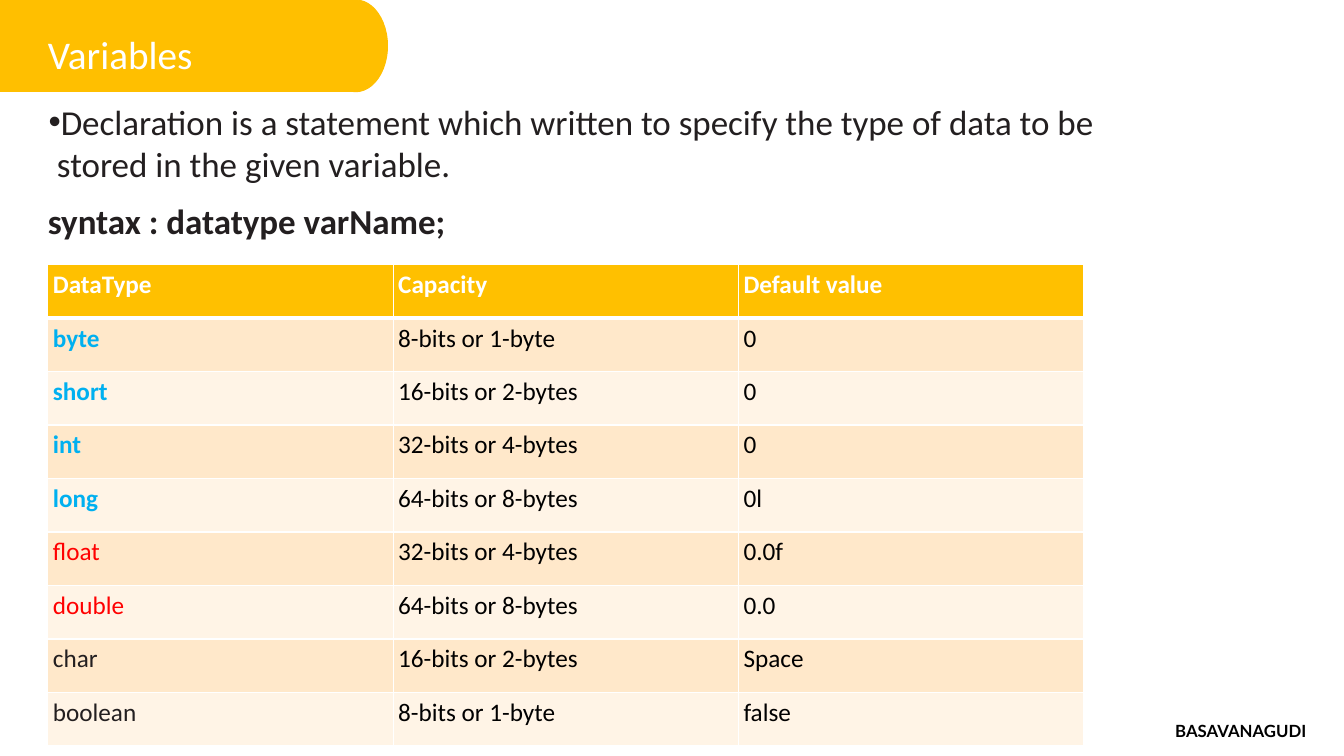
import dataclasses
import lxml.etree
import pptx
import pptx.dml.color
import pptx.enum.shapes
import pptx.enum.text
import pptx.oxml.ns
import pptx.util

Pt = pptx.util.Pt
Align = pptx.enum.text.PP_ALIGN
Shape = pptx.enum.shapes.MSO_SHAPE
qn = pptx.oxml.ns.qn


@dataclasses.dataclass(frozen=True)
class Theme:
    face: str = "Calibri"
    mark: str = "Lato"
    gold: str = "FFBF00"
    head: str = "FFC000"
    bands: tuple = ("FFE8CA", "FFF4E6")
    white: str = "FFFFFF"
    black: str = "000000"
    ink: str = "231F20"
    blue: str = "00B0F0"
    red: str = "FF0000"
    title: float = 28
    body: float = 25
    cell: float = 18
    note: float = 12


def color(code):
    return pptx.dml.color.RGBColor.from_string(code)


def edge(cell, side, width, code):
    """Add one border line to a cell."""
    line = lxml.etree.SubElement(cell._tc.get_or_add_tcPr(), qn("a:ln" + side), w=str(Pt(width)))
    fill = lxml.etree.SubElement(line, qn("a:solidFill"))
    lxml.etree.SubElement(fill, qn("a:srgbClr"), val=code)


class Page:
    def __init__(self, deck, theme):
        self.slide = deck.slides.add_slide(deck.slide_layouts[1])
        self.theme = theme

    def put(self, para, text, size, code, bold=False, face=None, align=Align.LEFT):
        """Add one styled run to a paragraph."""
        para.alignment = align
        para.space_before = Pt(0)
        run = para.add_run()
        run.text = text
        font = run.font
        font.name, font.size, font.bold = face or self.theme.face, Pt(size), bold
        font.color.rgb = color(code)

    def fit(self, shape, box, inset=0):
        """Place a text shape, set its insets and return its first paragraph."""
        shape.left, shape.top, shape.width, shape.height = map(Pt, box)
        frame = shape.text_frame
        frame.word_wrap = True
        frame.auto_size = pptx.enum.text.MSO_AUTO_SIZE.SHAPE_TO_FIT_TEXT
        frame.vertical_anchor = pptx.enum.text.MSO_ANCHOR.TOP
        frame.margin_left = frame.margin_right = Pt(inset)
        frame.margin_top = frame.margin_bottom = Pt(inset)
        return frame.paragraphs[0]

    def title(self, text, box):
        para = self.fit(self.slide.shapes.title, box)
        self.put(para, text, self.theme.title, self.theme.white)

    def bullet(self, text, box):
        para = self.fit(self.slide.placeholders[1], box)
        props = para._p.get_or_add_pPr()
        props.set("marL", str(Pt(6.5)))
        props.set("indent", str(Pt(-6)))
        lxml.etree.SubElement(props, qn("a:buChar"), char="•")
        self.put(para, text, self.theme.body, self.theme.ink)

    def text(self, text, box, size, code, inset=0, **style):
        para = self.fit(self.slide.shapes.add_textbox(*map(Pt, box)), box, inset)
        self.put(para, text, size, code, **style)

    def back(self, kind, box):
        """Add a gold shape behind everything else."""
        shape = self.slide.shapes.add_shape(kind, *map(Pt, box))
        shape.shadow.inherit = False
        shape.fill.solid()
        shape.fill.fore_color.rgb = color(self.theme.gold)
        shape.line.color.rgb = color(self.theme.gold)
        shape.line.width = Pt(0.75)
        self.slide.shapes._spTree.insert(2, shape._element)

    def cell(self, cell, text, row, code, bold):
        cell.margin_left = cell.margin_right = Pt(3.6)
        cell.margin_top = cell.margin_bottom = Pt(3.6)
        for side in "LRTB":
            thick = (row, side) in ((0, "B"), (1, "T"))
            edge(cell, side, 3 if thick else 1, self.theme.white)
        cell.fill.solid()
        band = self.theme.bands[(row - 1) % 2] if row else self.theme.head
        cell.fill.fore_color.rgb = color(band)
        self.put(cell.text_frame.paragraphs[0], text, self.theme.cell, code, bold)

    def table(self, heads, rows, box):
        """Rows hold their cell texts, then the colour and weight of the first cell."""
        theme = self.theme
        count = len(rows) + 1
        table = self.slide.shapes.add_table(count, len(heads), *map(Pt, box)).table
        for line in table.rows:
            line.height = Pt(box[3] / count)
        for col, text in enumerate(heads):
            self.cell(table.cell(0, col), text, 0, theme.white, True)
        for row, (*texts, code, bold) in enumerate(rows, 1):
            for col, text in enumerate(texts):
                look = (theme.black, False) if col else (code, bold)
                self.cell(table.cell(row, col), text, row, *look)


def main():
    deck = pptx.Presentation()
    deck.slide_width, deck.slide_height = Pt(960), Pt(540)
    theme = Theme()
    page = Page(deck, theme)
    left = 34.2
    page.back(Shape.OVAL, (231.4, 0, 45.4, 65.5))
    page.back(Shape.RECTANGLE, (0, 0, 250.6, 65.5))
    page.title("Variables", (left, 21.8, 277, 35))
    page.bullet(
        "Declaration is a statement which written to specify the type of data "
        "to be stored in the given variable.", (left, 71.5, 810, 62))
    page.text("syntax : datatype varName;", (left, 142.6, 814, 31),
              theme.body, theme.ink, bold=True)
    page.text("BASAVANAGUDI", (815, 512.6, 142.6, 18.7), theme.note, theme.black,
              inset=2, bold=True, face=theme.mark, align=Align.CENTER)
    page.table(("DataType", "Capacity", "Default value"), (
        ("byte", "8-bits or 1-byte", "0", theme.blue, True),
        ("short", "16-bits or 2-bytes", "0", theme.blue, True),
        ("int", "32-bits or 4-bytes", "0", theme.blue, True),
        ("long", "64-bits or 8-bytes", "0l", theme.blue, True),
        ("float", "32-bits or 4-bytes", "0.0f", theme.red, False),
        ("double", "64-bits or 8-bytes", "0.0", theme.red, False),
        ("char", "16-bits or 2-bytes", "Space", theme.ink, False),
        ("boolean", "8-bits or 1-byte", "false", theme.ink, False),
    ), (left, 188.9, 740, 344))
    deck.save("out.pptx")


if __name__ == "__main__":
    main()
